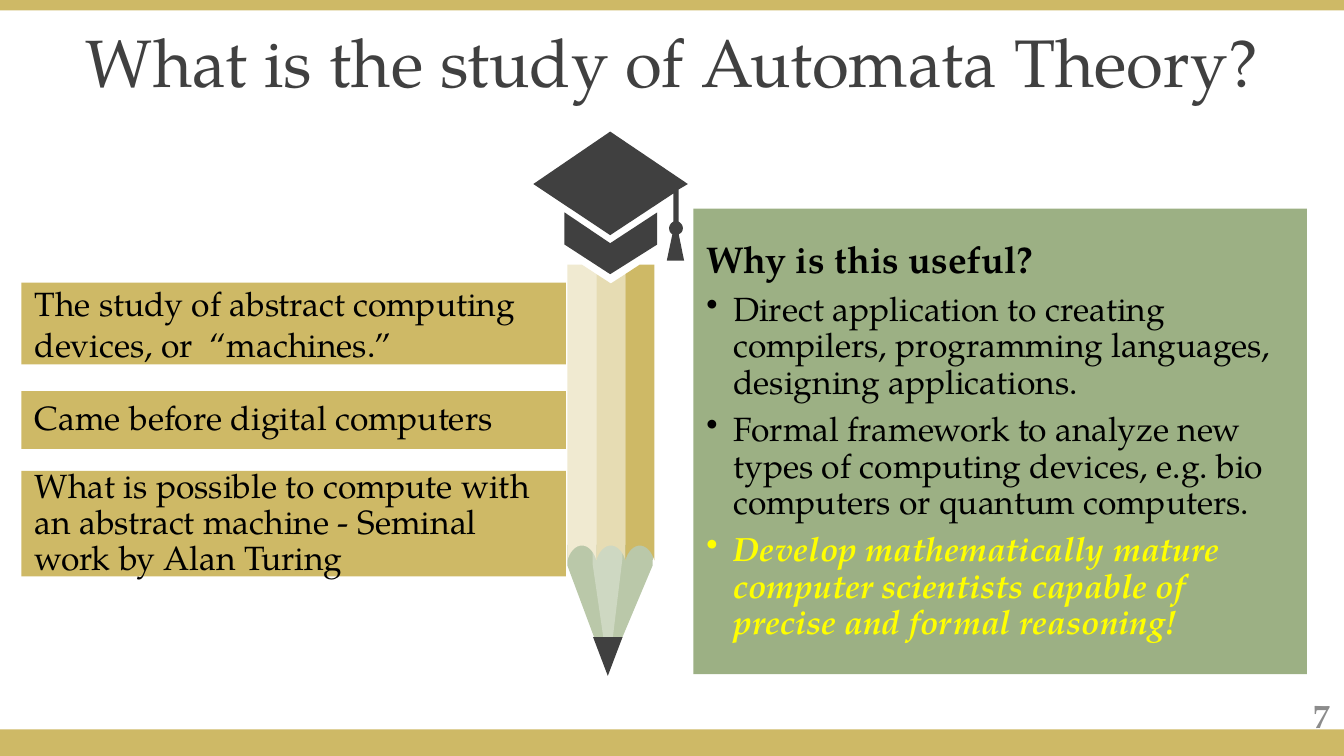
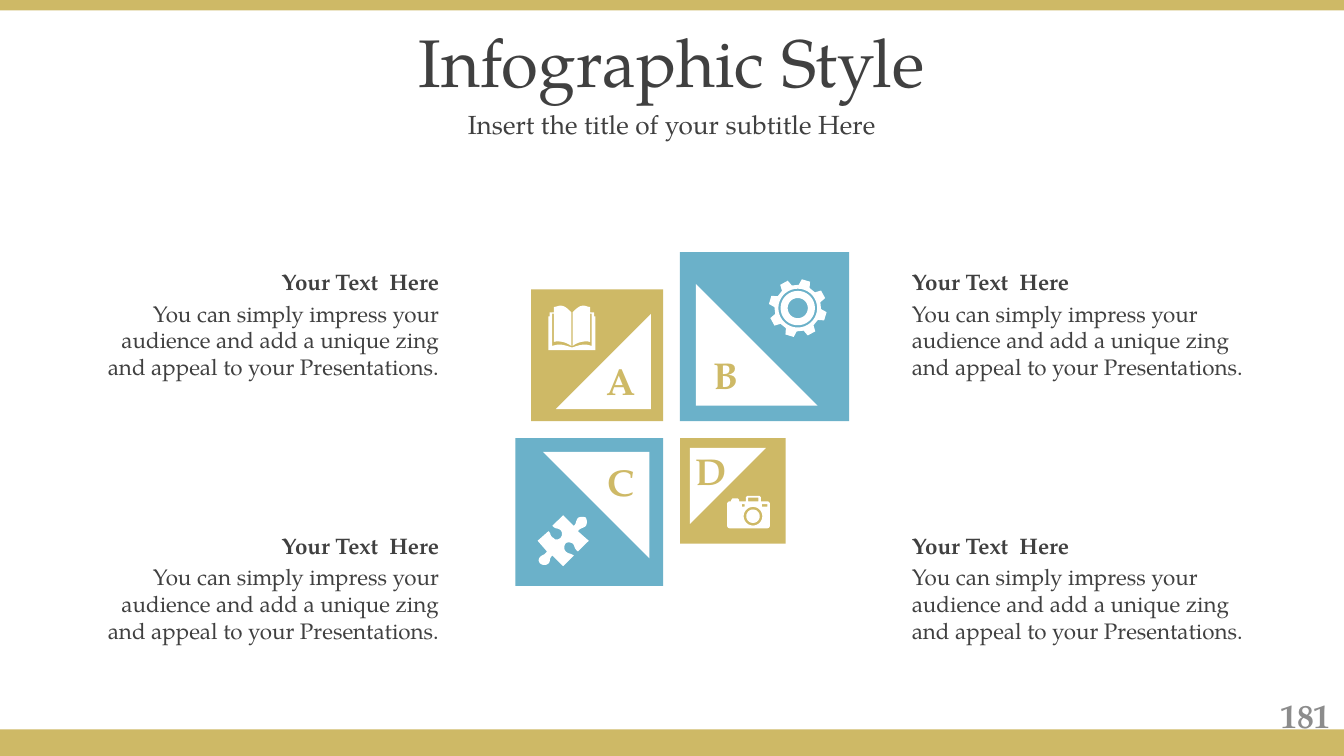
from math import cos, radians, sin

from lxml import etree
from pptx import Presentation
from pptx.dml.color import RGBColor
from pptx.enum.shapes import MSO_SHAPE
from pptx.enum.text import MSO_ANCHOR, PP_ALIGN
from pptx.oxml.ns import qn
from pptx.util import Pt

RECTANGLE = MSO_SHAPE.RECTANGLE
TRIANGLE = MSO_SHAPE.ISOSCELES_TRIANGLE
RIGHT_TRIANGLE = MSO_SHAPE.RIGHT_TRIANGLE
LEFT, CENTER, RIGHT = PP_ALIGN.LEFT, PP_ALIGN.CENTER, PP_ALIGN.RIGHT
TOP, MIDDLE = MSO_ANCHOR.TOP, MSO_ANCHOR.MIDDLE

FONT = "TeX Gyre Pagella"
GOLD, BLUE, GREEN = "CEB966", "6BB1C9", "9CB084"
DARK, GRAY, BLACK, WHITE, YELLOW = "404040", "8C8C8C", "000000", "FFFFFF", "FFFF00"
WIDTH, HEIGHT = 720, 405
BULLET_INDENT = 14.4


def color(value):
    return RGBColor.from_string(value)


def paint(shape, fill):
    shape.shadow.inherit = False
    shape.fill.solid()
    shape.fill.fore_color.rgb = color(fill)
    shape.line.fill.background()
    return shape


def add_preset(page, kind, box, fill, rotation=0):
    shape = page.shapes.add_shape(kind, *[Pt(length) for length in box])
    shape.rotation = rotation
    return paint(shape, fill)


def prepare_frame(shape, anchor):
    frame = shape.text_frame
    frame.word_wrap = True
    frame.vertical_anchor = anchor
    return frame


def add_span(para, text, size, ink, bold=False, italic=False):
    span = para.add_run()
    span.text = text
    font = span.font
    font.name, font.size, font.bold, font.italic = FONT, Pt(size), bold, italic
    font.color.rgb = color(ink)


def add_text(page, box, text, size, ink, align=LEFT, anchor=TOP, bold=False):
    shape = page.shapes.add_textbox(*[Pt(length) for length in box])
    para = prepare_frame(shape, anchor).paragraphs[0]
    para.alignment = align
    add_span(para, text, size, ink, bold)


def add_bullet(para):
    properties = para._p.get_or_add_pPr()
    properties.set("marL", str(Pt(BULLET_INDENT)))
    properties.set("indent", str(-Pt(BULLET_INDENT)))
    etree.SubElement(properties, qn("a:buChar")).set("char", "•")


def flatten(steps):
    """Turn pairs (points) and sextets (cubic curves) into a list of points."""
    points = []
    for step in steps:
        if len(step) == 2:
            points.append(step)
            continue
        x0, y0 = points[-1]
        x1, y1, x2, y2, x3, y3 = step
        for part in range(1, 9):
            t = part / 8
            a, b, c, d = (1 - t) ** 3, 3 * t * (1 - t) ** 2, 3 * t * t * (1 - t), t ** 3
            points.append((a * x0 + b * x1 + c * x2 + d * x3,
                           a * y0 + b * y1 + c * y2 + d * y3))
    return points


def circle(x, y, radius):
    angles = [radians(angle) for angle in range(0, 360, 10)]
    return [(x + radius * cos(angle), y + radius * sin(angle)) for angle in angles]


def rectangle(left, top, right, bottom):
    return [(left, top), (right, top), (right, bottom), (left, bottom)]


def add_outline(page, origin, contours, fill):
    """Draw contours as one shape; a contour inside another cuts a hole."""
    builder = None
    for contour in contours:
        points = [(x * 100, y * 100) for x, y in flatten(contour)]
        if builder is None:
            builder = page.shapes.build_freeform(*points[0], scale=Pt(1) / 100)
        else:
            builder.move_to(*points[0])
        builder.add_line_segments(points[1:], close=True)
    return paint(builder.convert_to_shape(*[Pt(length) for length in origin]), fill)


def add_page(deck, title, number):
    page = deck.slides.add_slide(deck.slide_layouts[6])
    add_preset(page, RECTANGLE, (0, 390.8, WIDTH, 14.2), GOLD)
    add_preset(page, RECTANGLE, (0, 0, WIDTH, 5.6), GOLD)
    add_text(page, (0, 10, WIDTH, 45.4), title, 36, DARK, CENTER, MIDDLE)
    add_text(page, (552, 372.4, 168, 21.6), number, 18, GRAY, RIGHT, MIDDLE, True)
    return page


def add_reasons(page, box, heading, reasons):
    frame = prepare_frame(add_preset(page, RECTANGLE, box, GREEN), MIDDLE)
    for index, text in enumerate([heading] + reasons):
        para = frame.add_paragraph() if index else frame.paragraphs[0]
        para.alignment = LEFT
        para.line_spacing = 0.9
        para.space_after = Pt(6)
        if index == 0:
            add_span(para, text, 20, BLACK, bold=True)
            continue
        add_bullet(para)
        last = index == len(reasons)
        add_span(para, text, 18, YELLOW if last else BLACK, last, last)


def add_bar(page, box, text, spacing):
    shape = add_preset(page, RECTANGLE, box, GOLD)
    para = prepare_frame(shape, MIDDLE).paragraphs[0]
    para.alignment = LEFT
    para.line_spacing = spacing
    add_span(para, text, 18, BLACK)


def add_pencil(page, left, top):
    origin = (left, top)
    strip = 15.5
    cone = [(0, 221.4), (46, 221.4), (45.6, 232.6), (21.4, 290), (0, 232.6)]
    core = [(13.5, 221.4), (29.4, 221.4), (29.4, 229), (22, 290), (13.5, 232)]
    add_outline(page, origin, [cone], "BAC8A9")
    add_outline(page, origin, [core], "CED8C2")

    strips = [("F0EAD1", (71.3, 71.3, 76.4)),
              ("E6DCB3", (76.4, 81.4, 76.4)),
              (GOLD, (76.4, 71.3, 71.3))]
    for index, (fill, heights) in enumerate(strips):
        x = index * strip
        middle, end = x + strip / 2, x + strip
        wood = list(zip((x, middle, end), heights)) + [
            (end, 229.7),
            (end - 1.2, 225.4, end - 4, 221.8, middle, 221.8),
            (x + 4, 221.8, x + 1.2, 225.4, x, 229.7)]
        add_outline(page, origin, [wood], fill)

    add_preset(page, TRIANGLE, (left + 13.7, top + 270.8, 15.8, 20.8), DARK, 180)
    band = [(-1.6, 43.3), (22.9, 59.8), (48.1, 43.3), (48.1, 60.5), (22.9, 76.4),
            (-1.6, 60.5)]
    board = [(22.9, 0), (64.5, 28.1), (59.6, 31), (59.6, 48.3),
             (61, 49, 61.8, 50.4, 61.8, 51.8), (61.8, 53.3, 61, 54.5, 59.6, 55),
             (62.5, 69.2), (53.2, 69.2), (56.2, 55),
             (55.2, 54.5, 54.5, 53.3, 54.5, 51.8), (54.5, 50.4, 55.3, 49, 56.7, 48.3),
             (56.7, 33.2), (22.9, 55.5), (-18.3, 28.1)]
    add_outline(page, origin, [band, board], DARK)


def add_book(page, origin):
    right_half = [(12.9, 3.6), (15.1, 1.4, 16.6, 0, 18.7, 0),
                  (20.2, 0, 20.9, 0.7, 22.3, 0.7), (22.3, 3.6), (24.5, 3.6),
                  (24.5, 5.8), (25.2, 5.8), (25.2, 23.8), (12.6, 23.8), (12.6, 22.3),
                  (13, 22.3), (17.3, 20.9, 19.4, 20.2, 23.2, 21.6), (23.2, 4.3),
                  (22.3, 4.3), (22.3, 19.4), (19.4, 18.7, 15.8, 19.4, 12.9, 21.6)]
    left_half = [(25.2 - x, y) for x, y in flatten(right_half)]
    add_outline(page, origin, [right_half, left_half], WHITE)


def add_gear(page, origin):
    center, teeth = 15.6, 8
    rim = []
    for tooth in range(teeth):
        middle = 16.5 + tooth * 360 / teeth
        for radius, turn in ((12.5, -14), (15.6, -8.5), (15.6, 8.5), (12.5, 14)):
            angle = radians(middle + turn)
            rim.append((center + radius * cos(angle), center + radius * sin(angle)))
    rings = [circle(center, center, radius) for radius in (10.4, 9.2, 5.4)]
    add_outline(page, origin, [rim] + rings, WHITE)


def add_puzzle(page, origin):
    piece = [
        (25.9, 0.7), (26.6, 2.2, 26.6, 3.6, 25.9, 5), (24.5, 6.5, 23, 5.8, 21.6, 7.9),
        (27.4, 13), (21.6, 18.7), (19.4, 17.3, 20.2, 15.8, 18.7, 14.4),
        (17.3, 13.7, 15.8, 13.7, 15.1, 14.4), (14.4, 15.1, 13.7, 17.3, 15.1, 18.7),
        (16.6, 20.2, 17.3, 19.4, 19.4, 20.9), (13.7, 26.6), (7.9, 20.9),
        (5.8, 23, 7.2, 23.8, 5.8, 25.2), (4.3, 26.6, 2.2, 25.9, 1.4, 25.2),
        (0.7, 24.5, 0, 23, 1.4, 21.6), (2.9, 20.2, 3.6, 20.9, 5, 18.7),
        (0, 13), (5.8, 7.9), (7.2, 8.6, 6.5, 10.8, 8.6, 11.5),
        (9.4, 13, 11.5, 12.2, 12.2, 11.5), (13, 10.8, 13.7, 8.6, 12.2, 7.2),
        (10.1, 5.8, 10.1, 7.2, 7.9, 5), (13.7, -0.7), (19.4, 5),
        (20.9, 3.6, 20.2, 2.9, 21.6, 0.7), (23, 0, 25.2, 0, 25.9, 0.7)]
    add_outline(page, origin, [piece], WHITE)


def add_camera(page, origin):
    body = [(2, 2.9), (2.2, 2.2), (2.9, 1.4), (5.8, 1.4), (6.5, 2.2), (6.5, 2.9),
            (10.1, 2.9), (10.1, 0.7), (10.8, 0), (17.4, 0), (18.1, 0.7), (18.1, 2.9),
            (21.4, 2.9), (22.3, 2.9, 23, 3.6, 23, 4.5), (23, 15.8),
            (23, 16.7, 22.3, 17.4, 21.4, 17.4), (1.6, 17.4),
            (0.7, 17.4, 0, 16.7, 0, 15.8), (0, 4.5), (0, 3.6, 0.7, 2.9, 1.6, 2.9)]
    holes = [rectangle(11.3, 1, 16.8, 2.9), rectangle(7.9, 4.5, 9.4, 5.8),
             rectangle(18.7, 4.5, 21.6, 5.8)]
    lens = [circle(13.9, 10.9, radius) for radius in (5, 3.6)]
    add_outline(page, origin, [body] + holes + lens, WHITE)


def add_tiles(page, x, y):
    """Place four tiles around a centre, each triangle turned towards it."""
    gap, letter_size = 4.5, 32
    tiles = [
        ("A", GOLD, 70.7, -1, -1, 270, (-43, -42), add_book, (-66, -66.4)),
        ("B", BLUE, 90.6, 1, -1, 0, (13.2, -45), add_gear, (52, -80.7)),
        ("C", BLUE, 79.2, -1, 1, 180, (-43, 12), add_puzzle, (-71.8, 46.5)),
        ("D", GOLD, 56.6, 1, 1, 90, (5.2, 6.2), add_camera, (29.7, 35.5))]
    for letter, fill, side, across, down, turn, letter_at, draw_icon, icon_at in tiles:
        corner = side * 0.72
        inset = gap + side * 0.093
        for kind, length, away, paint_color, rotation in (
                (RECTANGLE, side, gap, fill, 0),
                (RIGHT_TRIANGLE, corner, inset, WHITE, turn)):
            left = x + (away if across > 0 else -away - length)
            top = y + (away if down > 0 else -away - length)
            add_preset(page, kind, (left, top, length, length), paint_color, rotation)
        box = (x + letter_at[0], y + letter_at[1], letter_size, letter_size)
        add_text(page, box, letter, 20, GOLD, CENTER, bold=True)
        draw_icon(page, (x + icon_at[0], y + icon_at[1]))


def add_caption(page, left, top, align):
    width = 200
    body = ("You can simply impress your audience and add a unique zing "
            "and appeal to your Presentations.")
    add_text(page, (left, top + 16.8, width, 51), body, 12, DARK, align)
    add_text(page, (left, top, width, 21.6), "Your Text  Here", 12, DARK, align, bold=True)


def build_theory_page(deck):
    page = add_page(deck, "What is the study of Automata Theory?", "7")
    add_reasons(page, (371.4, 111.8, 328.8, 249.4), "Why is this useful?", [
        "Direct application to creating compilers, programming languages, "
        "designing applications.",
        "Formal framework to analyze new types of computing devices, e.g. bio "
        "computers or quantum computers.",
        "Develop mathematically mature computer scientists capable of precise "
        "and formal reasoning!"])
    add_pencil(page, 304, 70.5)
    bars = [
        (151.4, 43.8, 1.0, "The study of abstract computing devices, or  “machines.”"),
        (209.5, 31, 0.9, "Came before digital computers"),
        (252.2, 56.6, 0.9, "What is possible to compute with an abstract machine - "
                           "Seminal work by Alan Turing")]
    for top, height, spacing, text in bars:
        add_bar(page, (11.5, top, 291.7, height), text, spacing)


def build_infographic_page(deck):
    page = add_page(deck, "Infographic Style", "181")
    add_text(page, (0, 55.4, WIDTH, 22.4), "Insert the title of your subtitle Here",
             14, DARK, CENTER, MIDDLE)
    add_tiles(page, 359.8, 230.2)
    for left, align in ((42.4, RIGHT), (481.4, LEFT)):
        for top in (140.2, 281.6):
            add_caption(page, left, top, align)


def main():
    deck = Presentation()
    deck.slide_width, deck.slide_height = Pt(WIDTH), Pt(HEIGHT)
    build_theory_page(deck)
    build_infographic_page(deck)
    deck.save("out.pptx")


if __name__ == "__main__":
    main()
